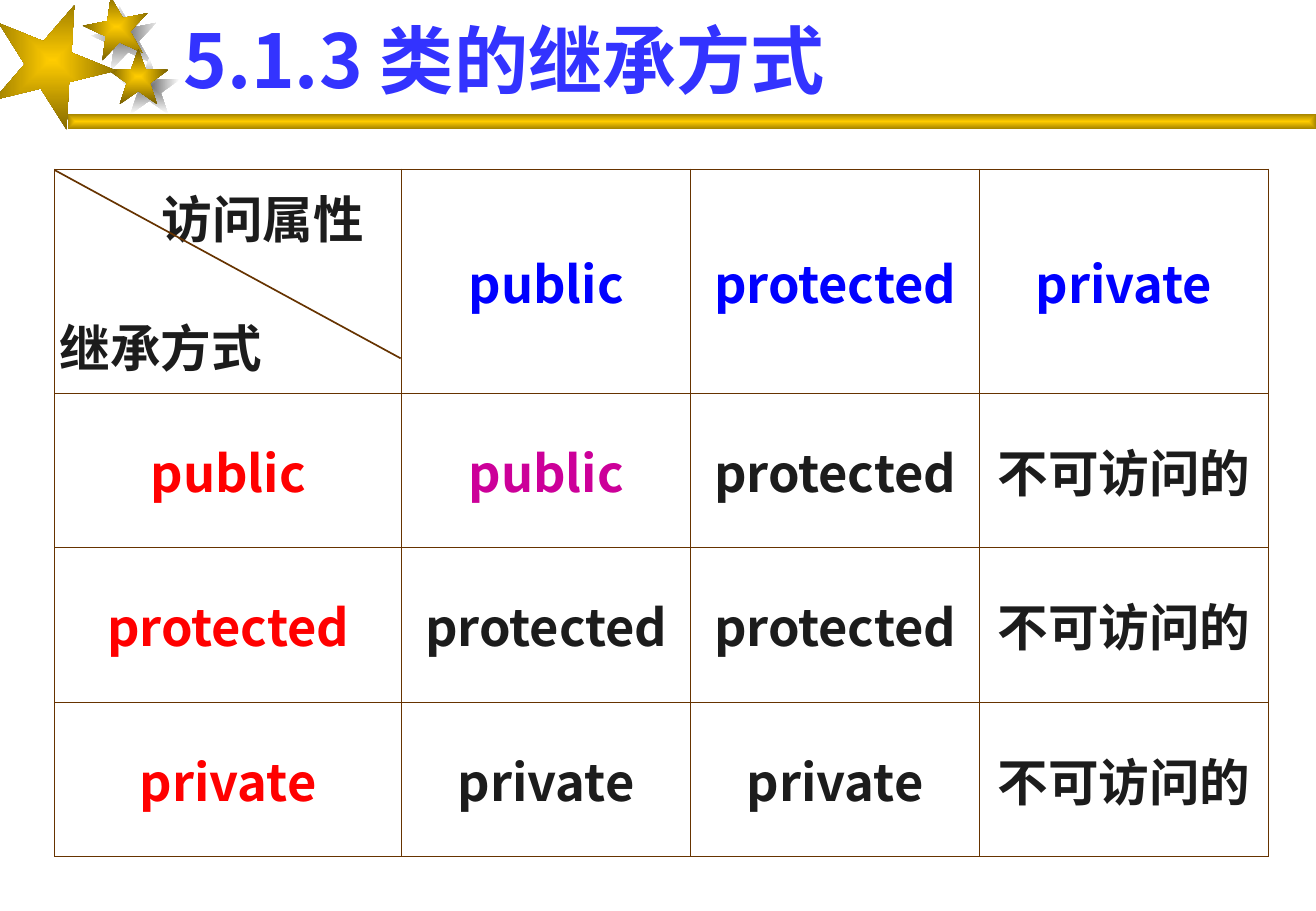
import pptx
import pptx.dml.color
import pptx.enum.shapes
import pptx.enum.text
import pptx.oxml
import pptx.oxml.ns
import pptx.util
from dataclasses import dataclass

Inches, Pt = pptx.util.Inches, pptx.util.Pt
RGB = pptx.dml.color.RGBColor.from_string
qn = pptx.oxml.ns.qn
NS = pptx.oxml.ns.nsdecls("a")
ALIGN = pptx.enum.text.PP_ALIGN
MIDDLE = pptx.enum.text.MSO_ANCHOR.MIDDLE


@dataclass
class Theme:
    font: str = "Noto Sans CJK SC"
    title_size: int = 44
    cell_size: int = 30
    title: str = "3333FF"
    text: str = "1C1C1C"
    column_head: str = "0000FF"
    row_head: str = "FF0000"
    accent: str = "CC0099"
    rule: str = "663300"
    bar: tuple = ("FFCC00", "A88600")
    gold: tuple = ("FFCC00", "765E00")
    shade: tuple = ("767676", "FFFFFF")


theme = Theme()


def style_text(p, size, color, align):
    """Format one paragraph, East Asian typeface included."""
    p.alignment = align
    f = p.font
    f.size, f.bold, f.name = Pt(size), True, theme.font
    f.color.rgb = RGB(color)
    latin = p._p.pPr.find(qn("a:defRPr")).find(qn("a:latin"))
    latin.addnext(pptx.oxml.parse_xml(f'<a:ea {NS} typeface="{theme.font}"/>'))


def glow(sp, colors):
    """Fill a shape from its centre outwards, without line or shadow."""
    sp.shadow.inherit = False
    sp.line.fill.background()
    sp.fill.gradient()
    for stop, color in zip(sp.fill.gradient_stops, colors):
        stop.color.rgb = RGB(color)
    lin = sp._element.spPr.find(qn("a:gradFill")).find(qn("a:lin"))
    lin.getparent().replace(lin, pptx.oxml.parse_xml(
        f'<a:path {NS} path="rect"><a:fillToRect l="50000" t="50000" '
        'r="50000" b="50000"/></a:path>'))


prs = pptx.Presentation()
prs.slide_width, prs.slide_height = Inches(10.84), Inches(7.5)
s = prs.slides.add_slide(prs.slide_layouts[5])

# Bar under the title
bar = s.shapes.add_shape(pptx.enum.shapes.MSO_SHAPE.RECTANGLE, Inches(0.56),
                         Inches(0.94), prs.slide_width - Inches(0.56), Inches(0.12))
glow(bar, theme.bar)

# Stars: one outline in shares of its box, scaled and turned
outline = [(0, 0.38), (0.38, 0.38), (0.5, 0), (0.62, 0.38), (1, 0.38),
           (0.69, 0.62), (0.81, 1), (0.5, 0.76), (0.19, 1), (0.31, 0.62)]
stars = [
    (0.76, 0.05, 0.54, 0.5, 349, theme.shade),
    (0.98, 0.48, 0.5, 0.46, 0, theme.shade),
    (0.69, -0.03, 0.54, 0.5, 349, theme.gold),
    (0.89, 0.4, 0.5, 0.46, 0, theme.gold),
    (-0.09, 0.01, 1.04, 0.97, 22, theme.gold),
]
for x, y, w, h, turn, colors in stars:
    points = [(Inches(x + w * u), Inches(y + h * v)) for u, v in outline]
    builder = s.shapes.build_freeform(*points[0])
    builder.add_line_segments(points[1:], close=True)
    star = builder.convert_to_shape()
    star.rotation = turn
    glow(star, colors)

# Title
title = s.shapes.title
title.left, title.top = Inches(1.41), Inches(0.05)
title.width, title.height = Inches(9.42), Inches(0.87)
tf = title.text_frame
tf.text = "5.1.3 类的继承方式"
tf.auto_size = pptx.enum.text.MSO_AUTO_SIZE.NONE
tf.vertical_anchor = MIDDLE
style_text(tf.paragraphs[0], theme.title_size, theme.title, ALIGN.JUSTIFY)

# Inheritance table
left, top = 0.45, 1.39
col_widths = [2.86] + [2.38] * 3
row_heights = [1.85] + [1.27] * 3
rows = [
    ["访问属性\n继承方式", "public", "protected", "private"],
    ["public", "public", "protected", "不可访问的"],
    ["protected", "protected", "protected", "不可访问的"],
    ["private", "private", "private", "不可访问的"],
]
table = s.shapes.add_table(4, 4, Inches(left), Inches(top), Inches(sum(col_widths)),
                           Inches(sum(row_heights))).table
table.first_row = table.horz_banding = False
for col, width in zip(table.columns, col_widths):
    col.width = Inches(width)
for row, height in zip(table.rows, row_heights):
    row.height = Inches(height)

for i, words in enumerate(rows):
    for j, word in enumerate(words):
        cell = table.cell(i, j)
        cell.text = word
        cell.vertical_anchor = MIDDLE
        cell.margin_left = cell.margin_right = Inches(0.04)
        cell.margin_top = cell.margin_bottom = Inches(0.05)
        for side in ("lnL", "lnR", "lnT", "lnB"):
            cell._tc.get_or_add_tcPr().append(pptx.oxml.parse_xml(
                f'<a:{side} {NS} w="{Pt(0.45)}"><a:solidFill><a:srgbClr '
                f'val="{theme.rule}"/></a:solidFill></a:{side}>'))
        cell.fill.background()
        if i == 0 and j > 0:
            color = theme.column_head
        elif i > 0 and j == 0:
            color = theme.row_head
        elif i == j == 1:
            color = theme.accent
        else:
            color = theme.text
        for p in cell.text_frame.paragraphs:
            style_text(p, theme.cell_size, color, ALIGN.CENTER)

# Corner cell: upper label pushed right, lower label at the left
upper, lower = table.cell(0, 0).text_frame.paragraphs
upper._p.pPr.set("marL", str(Inches(0.57)))
lower.alignment = ALIGN.LEFT
lower.space_before = Pt(33)

# Diagonal of the corner cell
diagonal = s.shapes.add_connector(pptx.enum.shapes.MSO_CONNECTOR.STRAIGHT, Inches(left),
                                  Inches(1.4), Inches(3.3), Inches(2.95))
diagonal.line.color.rgb = RGB(theme.rule)
diagonal.line.width = Pt(1)
diagonal._element.spPr.append(pptx.oxml.parse_xml(f"<a:effectLst {NS}/>"))

prs.save("out.pptx")
